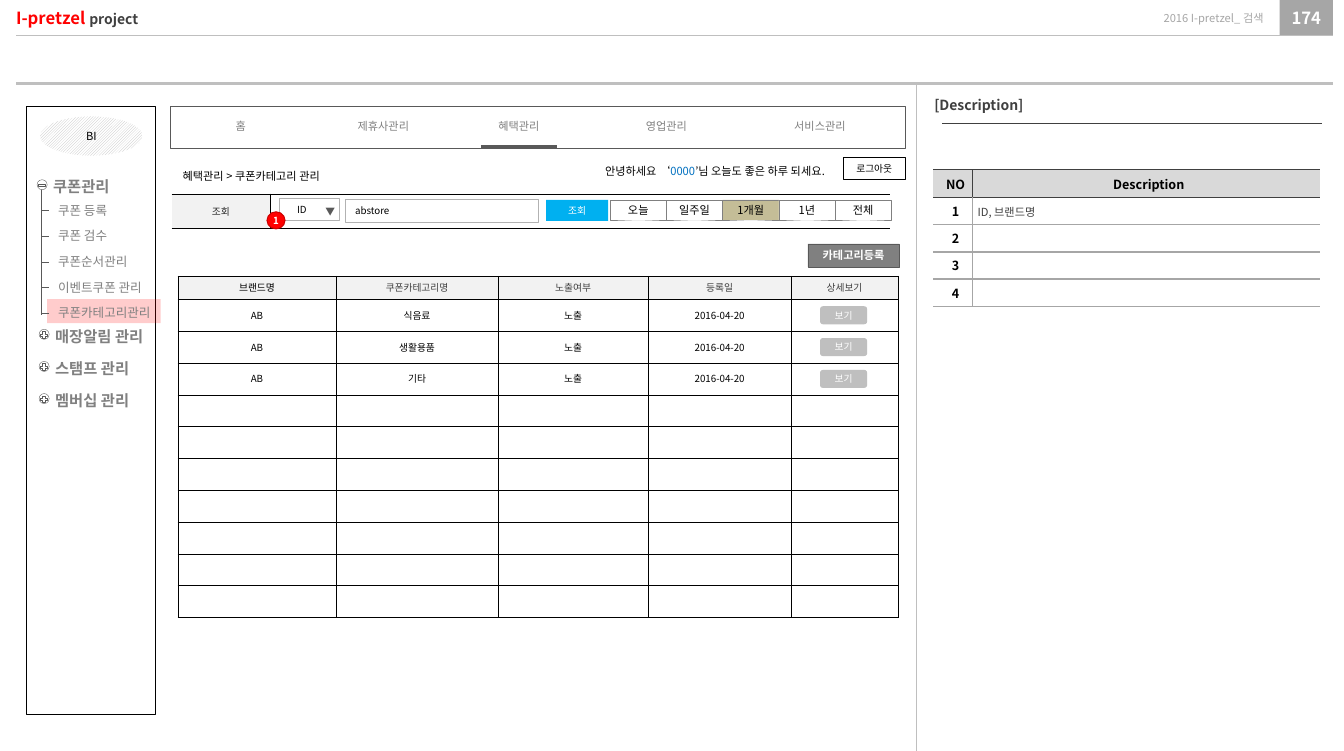
from lxml.etree import SubElement
from pptx import Presentation
from pptx.dml.color import RGBColor
from pptx.enum.dml import MSO_PATTERN
from pptx.enum.shapes import MSO_CONNECTOR, MSO_SHAPE
from pptx.enum.text import MSO_ANCHOR, MSO_AUTO_SIZE, PP_ALIGN
from pptx.oxml.ns import qn
from pptx.util import Inches, Pt

FONT = "Noto Sans CJK KR"
NO_TABLE_STYLE = "{2D5ABB26-0587-4C30-8999-92F81FD0307C}"
PADDED = (0.1, 0.05)
COLORS = {
    "black": "000000", "ink": "262626", "dark": "404040", "outline": "595959",
    "gray": "808080", "silver": "A6A6A6", "field": "B2B2B2", "light": "BFBFBF",
    "head": "D9D9D9", "pale": "F2F2F2", "white": "FFFFFF", "red": "FF0000",
    "crimson": "CC0000", "sky": "00B0F0", "blue": "0070C0", "khaki": "C4BD97",
}
RGB = {name: RGBColor.from_string(value) for name, value in COLORS.items()}


def write(holder, text, size=8, color="black", bold=False, align="CENTER",
          anchor="MIDDLE", inset=(0, 0), wrap=True, font=FONT):
    """Fill a shape or cell; text is a string or a list of (text, format) runs."""
    frame = holder.text_frame
    is_shape = hasattr(holder, "shape_type")
    area = frame if is_shape else holder
    area.margin_left = area.margin_right = Inches(inset[0])
    area.margin_top = area.margin_bottom = Inches(inset[1])
    area.vertical_anchor = getattr(MSO_ANCHOR, anchor)
    if is_shape:
        frame.word_wrap = wrap
        frame.auto_size = MSO_AUTO_SIZE.NONE
    paragraph = frame.paragraphs[0]
    paragraph.alignment = getattr(PP_ALIGN, align)
    if not text:
        SubElement(paragraph._p, qn("a:endParaRPr"), sz=str(size * 100))
        return
    for content, changes in [(text, {})] if isinstance(text, str) else text:
        run = paragraph.add_run()
        run.text = content
        run.font.size = Pt(changes.get("size", size))
        run.font.bold = bold
        run.font.color.rgb = RGB[changes.get("color", color)]
        run.font.name = font
        SubElement(run._r.get_or_add_rPr(), qn("a:ea"), typeface=font)


def draw(kind, x, y, w, h, fill=None, line=None, width=0.75):
    """Add a preset shape, a text box, or a line whose end point is (w, h)."""
    place = [Inches(value) for value in (x, y, w, h)]
    if kind == "TEXT":
        return slide.shapes.add_textbox(*place)
    if kind == "LINE":
        shape = slide.shapes.add_connector(MSO_CONNECTOR.STRAIGHT, *place)
        SubElement(shape._element.spPr, qn("a:effectLst"))
    else:
        shape = slide.shapes.add_shape(getattr(MSO_SHAPE, kind), *place)
        shape.shadow.inherit = False
        if fill:
            shape.fill.solid()
            shape.fill.fore_color.rgb = RGB[fill]
        else:
            shape.fill.background()
    if line:
        shape.line.color.rgb = RGB[line]
        shape.line.width = Pt(width)
    else:
        shape.line.fill.background()
    return shape


presentation = Presentation()
presentation.slide_width = Inches(13.39)
presentation.slide_height = Inches(7.48)
slide = presentation.slides.add_slide(presentation.slide_layouts[5])

# Page header
title = slide.shapes.title
title.left, title.top, title.width, title.height = map(Inches, (0.16, 0, 2.05, 0.35))
write(title, [("I-pretzel ", {"color": "red"}), ("project", {"size": 10})],
      size=12, color="dark", bold=True, align="LEFT")
write(draw("RECTANGLE", 12.75, 0, 0.53, 0.35, "silver"), "174",
      size=12, color="white", bold=True)
write(draw("TEXT", 10.32, 0, 2.27, 0.35), "2016 I-pretzel_ 검색",
      color="silver", align="RIGHT")
draw("LINE", 0.16, 0.83, 13.28, 0.83, line="light", width=2.25)
draw("LINE", 0.16, 0.35, 13.28, 0.35, line="light", width=0.25)

# Description panel
draw("LINE", 9.13, 0.83, 9.13, 7.48, line="light")
draw("LINE", 9.39, 1.23, 13.17, 1.23, line="dark", width=0.5)
write(draw("TEXT", 9.21, 0.91, 1.74, 0.27), "[Description]", size=10,
      color="dark", bold=True, align="LEFT", anchor="TOP", inset=PADDED)

# Table frames: position, column widths, row heights, header and body line, width
table_frames = {
    "description": (9.3, 1.69, [0.39, 3.46], [0.28] + [0.27] * 4, "dark", "silver", 1),
    "coupons": (1.77, 2.75, [1.58, 1.61, 1.5, 1.42, 1.07],
                [0.23] + [(3.4 - 0.23) / 10] * 10, "black", "black", 0.25),
    "search": (1.71, 1.93, [0.98, 6.18], [0.34], "black", "black", 0.25),
}
tables = {}
for name, (x, y, widths, heights, head_line, body_line, width) in table_frames.items():
    graphic = slide.shapes.add_table(len(heights), len(widths), Inches(x), Inches(y),
                                     Inches(sum(widths)), Inches(sum(heights)))
    table = tables[name] = graphic.table
    table.first_row = table.horz_banding = False
    table._tbl.tblPr.find(qn("a:tableStyleId")).text = NO_TABLE_STYLE
    for column, size in zip(table.columns, widths):
        column.width = Inches(size)
    for row, size in zip(table.rows, heights):
        row.height = Inches(size)
    for r in range(len(heights)):
        for c in range(len(widths)):
            # Two-column tables stay open at their outer sides
            sides = "LRTB" if len(widths) > 2 else ("RTB", "LTB")[c]
            properties = table.cell(r, c)._tc.get_or_add_tcPr()
            for position, side in enumerate(sides):
                on_header = r == 0 or (r == 1 and side == "T")
                border = SubElement(properties, qn("a:ln" + side), w=str(Pt(width)))
                fill = SubElement(border, qn("a:solidFill"))
                SubElement(fill, qn("a:srgbClr"),
                           val=COLORS[head_line if on_header else body_line])
                properties.insert(position, border)

# Description table
description_rows = [("NO", "Description"), ("1", "ID, 브랜드명"), ("2", ""), ("3", ""), ("4", "")]
for r, row in enumerate(description_rows):
    for c, text in enumerate(row):
        cell = tables["description"].cell(r, c)
        if r == 0:
            cell.fill.solid()
            cell.fill.fore_color.rgb = RGB["head"]
        else:
            cell.fill.background()
        if r and c:
            write(cell, text, color="dark", align="LEFT")
        else:
            write(cell, text, size=9, bold=True)
        cell.margin_left = Inches(0.05)

# Coupon category table
coupon_rows = [("브랜드명", "쿠폰카테고리명", "노출여부", "등록일", "상세보기")]
coupon_rows += [("AB", category, "노출", "2016-04-20", "")
                for category in ("식음료", "생활용품", "기타")]
coupon_rows += [("",) * 5] * 7
for r, row in enumerate(coupon_rows):
    for c, text in enumerate(row):
        cell = tables["coupons"].cell(r, c)
        cell.fill.solid()
        cell.fill.fore_color.rgb = RGB["white" if r else "pale"]
        write(cell, text, size=7, color="dark" if r == 0 and c else "black")
for i in range(3):
    button = draw("ROUNDED_RECTANGLE", 8.17, 3.05 + 0.317 * i, 0.47, 0.18, "light")
    write(button, "보기", size=7, color="white", font="Arial")
write(draw("RECTANGLE", 8.05, 2.43, 0.91, 0.23, "gray", "outline", 0.5),
      "카테고리등록", color="white", bold=True)

# Search bar
for c, (text, fill) in enumerate([("조회", "pale"), ("", "white")]):
    cell = tables["search"].cell(0, c)
    cell.fill.solid()
    cell.fill.fore_color.rgb = RGB[fill]
    write(cell, text, size=7, color="ink")
write(draw("RECTANGLE", 3.44, 1.99, 1.92, 0.22, "white", "field", 0.5), "abstore",
      size=7, align="LEFT", inset=(0.1, 0))
write(draw("RECTANGLE", 5.44, 1.99, 0.62, 0.21, "sky"), "조회", size=7, color="white")
write(draw("RECTANGLE", 2.78, 1.98, 0.6, 0.22, "white", "field", 0.5), "ID",
      size=7, align="LEFT", inset=(0.18, 0))
write(draw("TEXT", 3.2, 2.04, 0.18, 0.13), "▼", size=7, color="outline", wrap=False)
for i, period in enumerate(["오늘", "일주일", "1개월", "1년", "전체"]):
    fill = "khaki" if period == "1개월" else "white"
    write(draw("RECTANGLE", 6.08 + 0.56 * i, 1.99, 0.56, 0.2, fill, "gray", 0.25), period)
write(draw("OVAL", 2.66, 2.11, 0.18, 0.17, "red", "crimson"), "1",
      size=7, color="white", bold=True, wrap=False)

# Top navigation
draw("RECTANGLE", 1.7, 1.06, 7.32, 0.42, "white", "outline", 0.5)
for x, menu in [(1.86, "홈"), (3.28, "제휴사관리"), (4.63, "혜택관리"),
                (6.1, "영업관리"), (7.63, "서비스관리")]:
    write(draw("TEXT", x, 1.14, 1.08, 0.24), menu, color="gray", anchor="TOP", inset=PADDED)
draw("LINE", 4.79, 1.46, 5.55, 1.46, line="outline", width=2.25)

# Breadcrumb, greeting and logout
greeting = [("안녕하세요 ‘", {}), ("0000", {"color": "blue"}), ("’님 오늘도 좋은 하루 되세요.", {})]
for x, y, text in [(5.93, 1.59, greeting), (1.72, 1.64, "혜택관리 > 쿠폰카테고리 관리")]:
    write(draw("TEXT", x, y, 3.08, 0.24), text, align="LEFT", anchor="TOP", inset=PADDED)
write(draw("RECTANGLE", 8.4, 1.57, 0.62, 0.22, "white", "black"), "로그아웃", size=7)

# Sidebar frame
draw("RECTANGLE", 0.26, 1.06, 1.29, 6.06, "white", "black")
badge = draw("OVAL", 0.4, 1.16, 1.02, 0.39)
badge.fill.patterned()
badge.fill.pattern = MSO_PATTERN.LIGHT_UPWARD_DIAGONAL
badge.fill.fore_color.rgb = RGB["light"]
badge.fill.back_color.rgb = RGB["white"]
write(badge, "BI")

# Sidebar submenu tree
draw("LINE", 0.41, 1.88, 0.41, 3.14, line="outline", width=0.5)
highlight = draw("RECTANGLE", 0.47, 2.98, 1.13, 0.24, "red")
SubElement(highlight._element.spPr.find(".//" + qn("a:srgbClr")), qn("a:alpha"), val="20000")
for i, item in enumerate(["쿠폰 등록", "쿠폰 검수", "쿠폰순서관리", "이벤트쿠폰 관리", "쿠폰카테고리관리"]):
    y = 1.97 + 0.255 * i
    draw("LINE", 0.41, y + 0.13, 0.49, y + 0.13, line="outline")
    write(draw("TEXT", 0.48, y, 1.33, 0.25), item, size=9, color="gray",
          align="LEFT", anchor="TOP", inset=PADDED)

# Sidebar groups
for x, y, sign, group in [(0.43, 1.72, "MINUS", "쿠폰관리"), (0.45, 3.21, "PLUS", "매장알림 관리"),
                          (0.45, 3.53, "PLUS", "스탬프 관리"), (0.45, 3.85, "PLUS", "멤버십 관리")]:
    draw("OVAL", x - 0.06, y + 0.07, 0.1, 0.1, "white", "outline", 0.25)
    draw("MATH_" + sign, x - 0.06, y + 0.08, 0.09, 0.09, None, "outline", 0.25)
    write(draw("TEXT", x, y, 1.29, 0.29), group, size=11, color="gray", bold=True,
          align="LEFT", anchor="TOP", inset=PADDED)

presentation.save("out.pptx")
